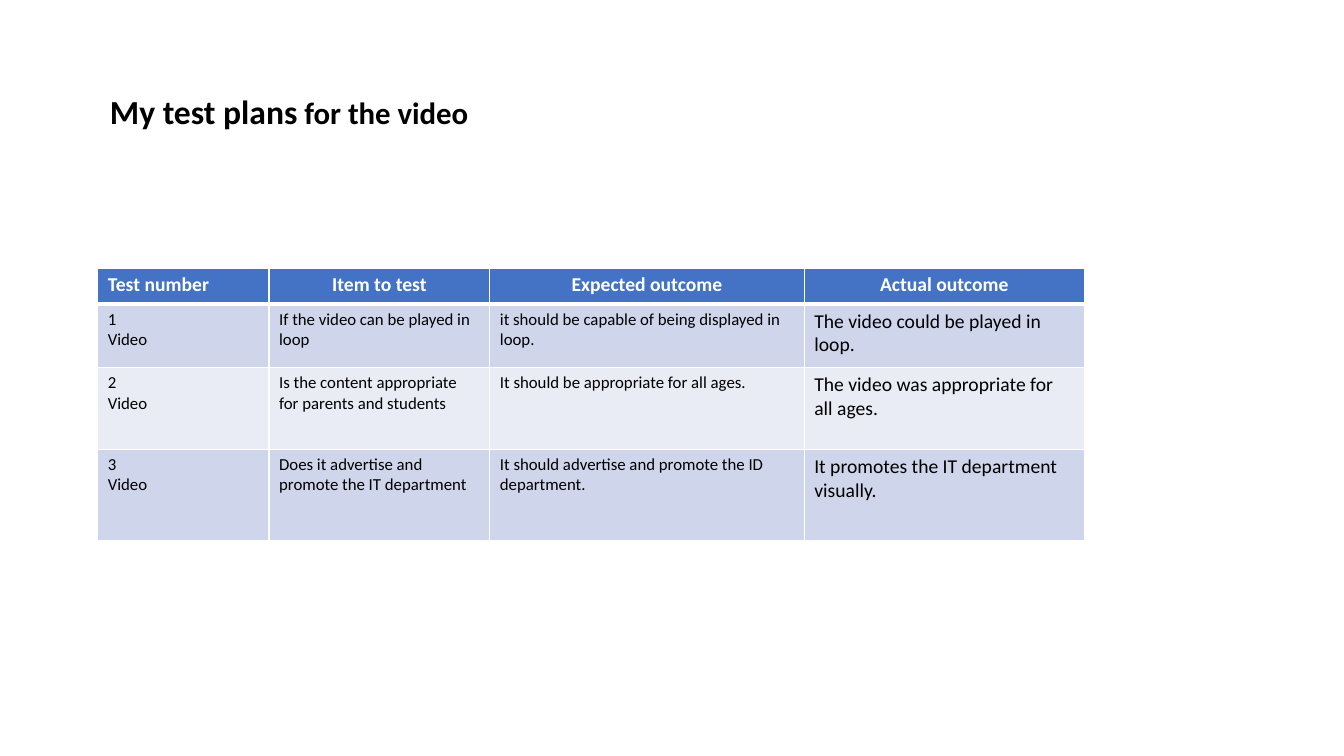
"""Build a slide with the test plans for the video as a table."""
import dataclasses

import lxml.etree
import pptx
import pptx.dml.color
import pptx.enum.text
import pptx.oxml.ns
import pptx.util

Pt = pptx.util.Pt
ALIGN = pptx.enum.text.PP_ALIGN
FONT = "Calibri"
COLOURS = {
    "text": "000000",
    "header_text": "FFFFFF",
    "border": "FFFFFF",
    "header": "4472C4",
    "odd": "CFD5EA",
    "even": "E9EBF5",
}


@dataclasses.dataclass(frozen=True)
class Column:
    heading: str
    width: float
    size: int
    heading_align: ALIGN = ALIGN.CENTER


@dataclasses.dataclass(frozen=True)
class Test:
    height: float
    entries: tuple[str, ...]


COLUMNS = (
    Column("Test number", 122.4, 12, ALIGN.LEFT),
    Column("Item to test", 157.7, 12),
    Column("Expected outcome", 224.6, 12),
    Column("Actual outcome", 200.2, 14),
)
HEADER_HEIGHT = 25.9
TESTS = (
    Test(45.4, (
        "1\nVideo",
        "If the video can be played in loop",
        "it should be capable of being displayed in loop.",
        "The video could be played in loop.",
    )),
    Test(58.3, (
        "2\nVideo",
        "Is the content appropriate for parents and students",
        "It should be appropriate for all ages.",
        "The video was appropriate for all ages.",
    )),
    Test(64.8, (
        "3\nVideo",
        "Does it advertise and promote the IT department",
        "It should advertise and promote the ID department.",
        "It promotes the IT department visually.",
    )),
)
TITLE_PARTS = (("My test plans", 24), (" for the video", 22))


def rgb(name: str) -> pptx.dml.color.RGBColor:
    return pptx.dml.color.RGBColor.from_string(COLOURS[name])


def style_font(font, size: float, colour: str, bold: bool) -> None:
    font.name = FONT
    font.size = Pt(size)
    font.bold = bold
    font.color.rgb = rgb(colour)


def add_borders(cell, top: float, bottom: float) -> None:
    qn = pptx.oxml.ns.qn
    properties = cell._tc.get_or_add_tcPr()
    for edge, width in (("L", 1), ("R", 1), ("T", top), ("B", bottom)):
        line = lxml.etree.SubElement(properties, qn(f"a:ln{edge}"), w=str(Pt(width)))
        fill = lxml.etree.SubElement(line, qn("a:solidFill"))
        lxml.etree.SubElement(fill, qn("a:srgbClr"), val=COLOURS["border"])


def fill_cell(cell, text: str, row: int, column: Column) -> None:
    is_header = row == 0
    add_borders(cell, top=3 if row == 1 else 1, bottom=3 if is_header else 1)
    cell.fill.solid()
    cell.fill.fore_color.rgb = rgb("header" if is_header else "odd" if row % 2 else "even")
    cell.text_frame.text = text
    for paragraph in cell.text_frame.paragraphs:
        paragraph.alignment = column.heading_align if is_header else ALIGN.LEFT
        style_font(
            paragraph.font,
            14 if is_header else column.size,
            "header_text" if is_header else "text",
            is_header,
        )


def add_title(slide) -> None:
    title = slide.shapes.title
    title.left, title.top, title.width, title.height = Pt(71.3), Pt(61.2), Pt(295.2), Pt(36)
    frame = title.text_frame
    frame.word_wrap = True
    frame.auto_size = pptx.enum.text.MSO_AUTO_SIZE.NONE
    frame.vertical_anchor = pptx.enum.text.MSO_ANCHOR.TOP
    heading = frame.paragraphs[0]
    heading.alignment = ALIGN.LEFT
    for text, size in TITLE_PARTS:
        part = heading.add_run()
        part.text = text
        style_font(part.font, size, "text", True)


def add_test_plan(slide) -> None:
    heights = [HEADER_HEIGHT, *(test.height for test in TESTS)]
    rows = [tuple(column.heading for column in COLUMNS), *(test.entries for test in TESTS)]
    plan = slide.shapes.add_table(
        len(rows), len(COLUMNS), Pt(69.8), Pt(191.5),
        Pt(sum(column.width for column in COLUMNS)), Pt(sum(heights)),
    ).table
    for index, column in enumerate(COLUMNS):
        plan.columns[index].width = Pt(column.width)
    for row, (height, entries) in enumerate(zip(heights, rows)):
        plan.rows[row].height = Pt(height)
        for index, (text, column) in enumerate(zip(entries, COLUMNS)):
            fill_cell(plan.cell(row, index), text, row, column)


def main() -> None:
    presentation = pptx.Presentation()
    presentation.slide_width, presentation.slide_height = Pt(960), Pt(540)
    slide = presentation.slides.add_slide(presentation.slide_layouts.get_by_name("Title Only"))
    add_test_plan(slide)
    add_title(slide)
    presentation.save("out.pptx")


if __name__ == "__main__":
    main()
